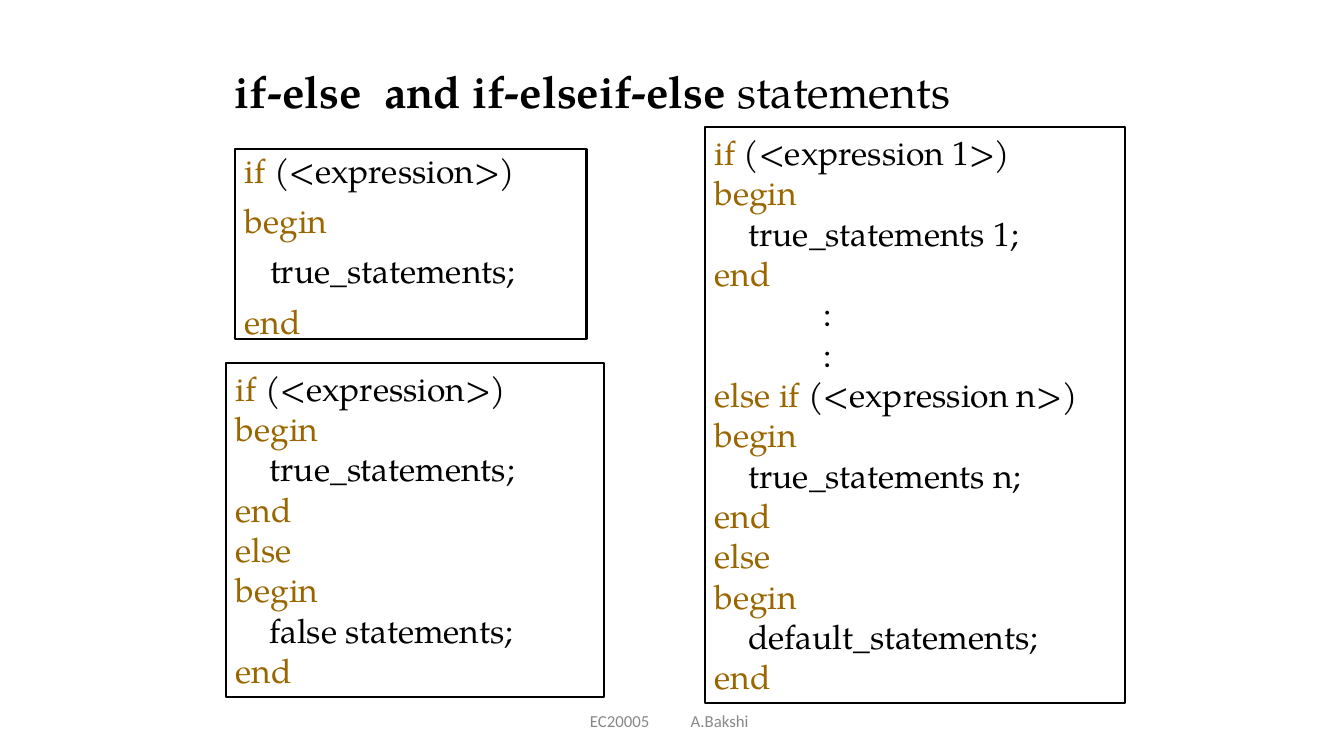
"""Build a slide on if-else and if-elseif-else statements."""
from lxml.etree import SubElement
from pptx import Presentation
from pptx.dml.color import RGBColor
from pptx.enum.shapes import MSO_SHAPE
from pptx.enum.text import MSO_ANCHOR, MSO_AUTO_SIZE, PP_ALIGN
from pptx.oxml.ns import qn
from pptx.util import Pt

COLORS = {"text": "000000", "keyword": "996600", "footer": "888888"}
CODE_FONT = "TeX Gyre Pagella"
FOOTER_FONT = "Calibri"

TITLE = [("if-else  and if-elseif-else", True), (" statements", False)]
TITLE_BOX = (160.5, 13, 629.5, 108)

FOOTER = "EC20005\tA.Bakshi"
FOOTER_BOX = (318, 500.5, 324, 28.8)
FOOTER_INDENT, FOOTER_TAB = 96.3, 171.5

BEGIN, END, ELSE = ("begin", ""), ("end", ""), ("else", "")
DOTS = ("", "             :")

CODE_BOXES = [
    {
        "box": (167.8, 106.6, 251.2, 135.6),
        "spaced": True,
        "lines": [("if", " (<expression>)"), BEGIN, ("", "\ttrue_statements;"), END],
    },
    {
        "box": (503.4, 90.8, 300.2, 411.3),
        "spaced": False,
        "lines": [
            ("if", " (<expression 1>)"), BEGIN, ("", "    true_statements 1;"), END,
            DOTS, DOTS,
            ("else if", " (<expression n>)"), BEGIN, ("", "    true_statements n;"), END,
            ELSE, BEGIN, ("", "    default_statements;"), END,
        ],
    },
    {
        "box": (161.4, 259, 270, 239),
        "spaced": False,
        "lines": [
            ("if", " (<expression>)"), BEGIN, ("", "    true_statements;"), END,
            ELSE, BEGIN, ("", "    false statements;"), END,
        ],
    },
]


def add_run(paragraph, text, size, color, font=CODE_FONT, bold=False):
    run = paragraph.add_run()
    run.text = text
    run.font.name = font
    run.font.size = Pt(size)
    run.font.bold = bold
    run.font.color.rgb = RGBColor.from_string(COLORS[color])


def set_indent(paragraph, margin, first_line):
    properties = paragraph._p.get_or_add_pPr()
    properties.set("marL", str(Pt(margin)))
    properties.set("indent", str(Pt(first_line)))
    return properties


def add_title(slide):
    title = slide.shapes.title
    title.left, title.top, title.width, title.height = map(Pt, TITLE_BOX)
    frame = title.text_frame
    frame.auto_size = MSO_AUTO_SIZE.NONE
    frame.vertical_anchor = MSO_ANCHOR.MIDDLE
    paragraph = frame.paragraphs[0]
    paragraph.alignment = PP_ALIGN.LEFT
    paragraph.line_spacing = 0.9
    paragraph.space_before = Pt(0)
    for text, bold in TITLE:
        add_run(paragraph, text, 32, "text", bold=bold)


def add_code_box(slide, box, spaced, lines):
    shape = slide.shapes.add_shape(MSO_SHAPE.RECTANGLE, *map(Pt, box))
    shape.shadow.inherit = False
    shape.fill.background()
    shape.line.color.rgb = RGBColor.from_string(COLORS["text"])
    shape.line.width = Pt(1.5)
    frame = shape.text_frame
    frame.word_wrap = True
    frame.vertical_anchor = MSO_ANCHOR.TOP
    frame.auto_size = MSO_AUTO_SIZE.NONE if spaced else MSO_AUTO_SIZE.SHAPE_TO_FIT_TEXT
    for index, (keyword, rest) in enumerate(lines):
        paragraph = frame.add_paragraph() if index else frame.paragraphs[0]
        paragraph.alignment = PP_ALIGN.LEFT
        if spaced:
            set_indent(paragraph, 18, -18)
            paragraph.line_spacing = 0.9
            paragraph.space_before = Pt(10 if index else 0)
        for text, color in ((keyword, "keyword"), (rest, "text")):
            if text:
                add_run(paragraph, text, 24, color)


def add_footer(slide):
    frame = slide.shapes.add_textbox(*map(Pt, FOOTER_BOX)).text_frame
    frame.word_wrap = True
    frame.vertical_anchor = MSO_ANCHOR.MIDDLE
    paragraph = frame.paragraphs[0]
    properties = set_indent(paragraph, FOOTER_INDENT, 0)
    tabs = SubElement(properties, qn("a:tabLst"))
    SubElement(tabs, qn("a:tab"), pos=str(Pt(FOOTER_TAB)), algn="l")
    add_run(paragraph, FOOTER, 12, "footer", FOOTER_FONT)


def main():
    presentation = Presentation()
    presentation.slide_width, presentation.slide_height = Pt(960), Pt(540)
    slide = presentation.slides.add_slide(presentation.slide_layouts[5])
    add_title(slide)
    for code_box in CODE_BOXES:
        add_code_box(slide, **code_box)
    add_footer(slide)
    presentation.save("out.pptx")


if __name__ == "__main__":
    main()
